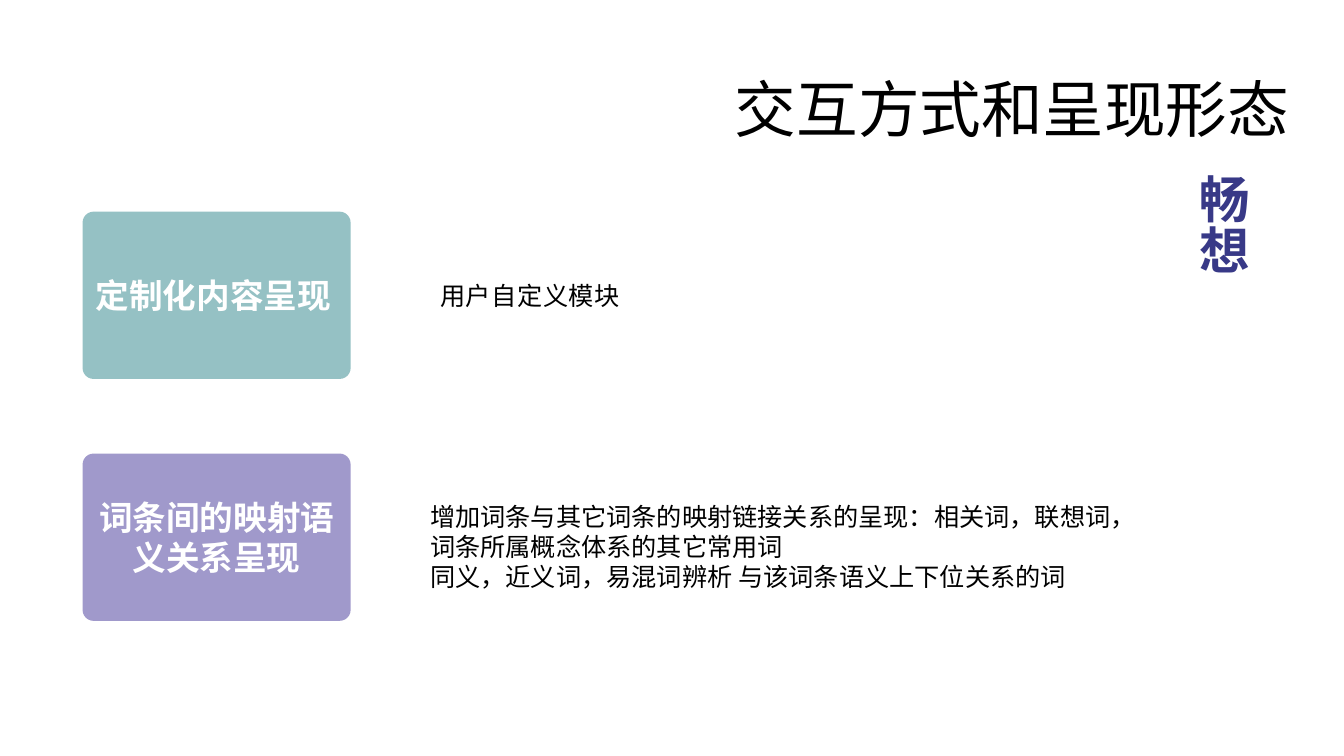
from lxml.etree import SubElement
from pptx import Presentation
from pptx.dml.color import RGBColor
from pptx.enum.shapes import MSO_SHAPE as Shape
from pptx.enum.text import MSO_ANCHOR as Anchor, MSO_AUTO_SIZE as Fit, PP_ALIGN as Align
from pptx.oxml.ns import qn
from pptx.util import Pt

TEAL = RGBColor(0x95, 0xC1, 0xC4)
LILAC = RGBColor(0xA0, 0x99, 0xCB)
NAVY = RGBColor(0x38, 0x39, 0x87)
WHITE = RGBColor(0xFF, 0xFF, 0xFF)
BLACK = RGBColor(0, 0, 0)
NOTO = "Noto Sans CJK SC"
LATIN = "Calibri"


def write(frame, lines, size, color, face, bold=False, align=Align.LEFT):
    for i, line in enumerate(lines):
        para = frame.add_paragraph() if i else frame.paragraphs[0]
        para.alignment = align
        run = para.add_run()
        run.text = line
        font = run.font
        font.size, font.bold, font.name = Pt(size), bold, face
        font.color.rgb = color
        if face == NOTO:
            SubElement(run._r.get_or_add_rPr(), qn("a:ea"), typeface=face)


def place(x, y, w, h):
    box = slide.shapes.add_textbox(Pt(x), Pt(y), Pt(w), Pt(h))
    box.text_frame.word_wrap = True
    return box.text_frame


deck = Presentation()
deck.slide_width, deck.slide_height = Pt(960), Pt(540)
slide = deck.slides.add_slide(deck.slide_layouts[5])

# Title
title = slide.shapes.title
title.left, title.top, title.width, title.height = Pt(517.7), Pt(46.8), Pt(414.7), Pt(60.5)
head = title.text_frame
head.word_wrap = False
head.auto_size = Fit.SHAPE_TO_FIT_TEXT
head.vertical_anchor = Anchor.TOP
write(head, ["交互方式和呈现形态"], 44, BLACK, LATIN)

# Topic cards
cards = [
    ("定制化内容呈现", TEAL, NOTO, Align.LEFT),
    ("词条间的映射语义关系呈现", LILAC, LATIN, Align.CENTER),
]
for i, (text, color, face, align) in enumerate(cards):
    card = slide.shapes.add_shape(
        Shape.ROUNDED_RECTANGLE, Pt(59), Pt(151.2 + i * 172.8), Pt(191.5), Pt(119.5))
    card.adjustments[0] = 0.066
    card.shadow.inherit = False
    card.fill.solid()
    card.fill.fore_color.rgb = color
    card.line.fill.background()
    card.text_frame.vertical_anchor = Anchor.MIDDLE
    write(card.text_frame, [text], 24, WHITE, face, True, align)

# Details beside the cards
custom = place(307.4, 196.6, 548.6, 28.8)
write(custom, ["用户自定义模块"], 18, BLACK, NOTO)
custom.paragraphs[0].runs[0]._r.rPr.set("spc", "40")

links = place(300.2, 354.2, 505.4, 72.7)
write(links, [
    "增加词条与其它词条的映射链接关系的呈现：相关词，联想词，词条所属概念体系的其它常用词",
    "同义，近义词，易混词辨析 与该词条语义上下位关系的词",
], 18, BLACK, NOTO)
for frame in (custom, links):
    frame.auto_size = Fit.SHAPE_TO_FIT_TEXT

# Vertical tag
tag = place(848.2, 117.4, 51.1, 131)
tag.vertical_anchor = Anchor.MIDDLE
tag._txBody.bodyPr.set("vert", "eaVert")
write(tag, ["畅想"], 36, NAVY, NOTO, True)

deck.save("out.pptx")
